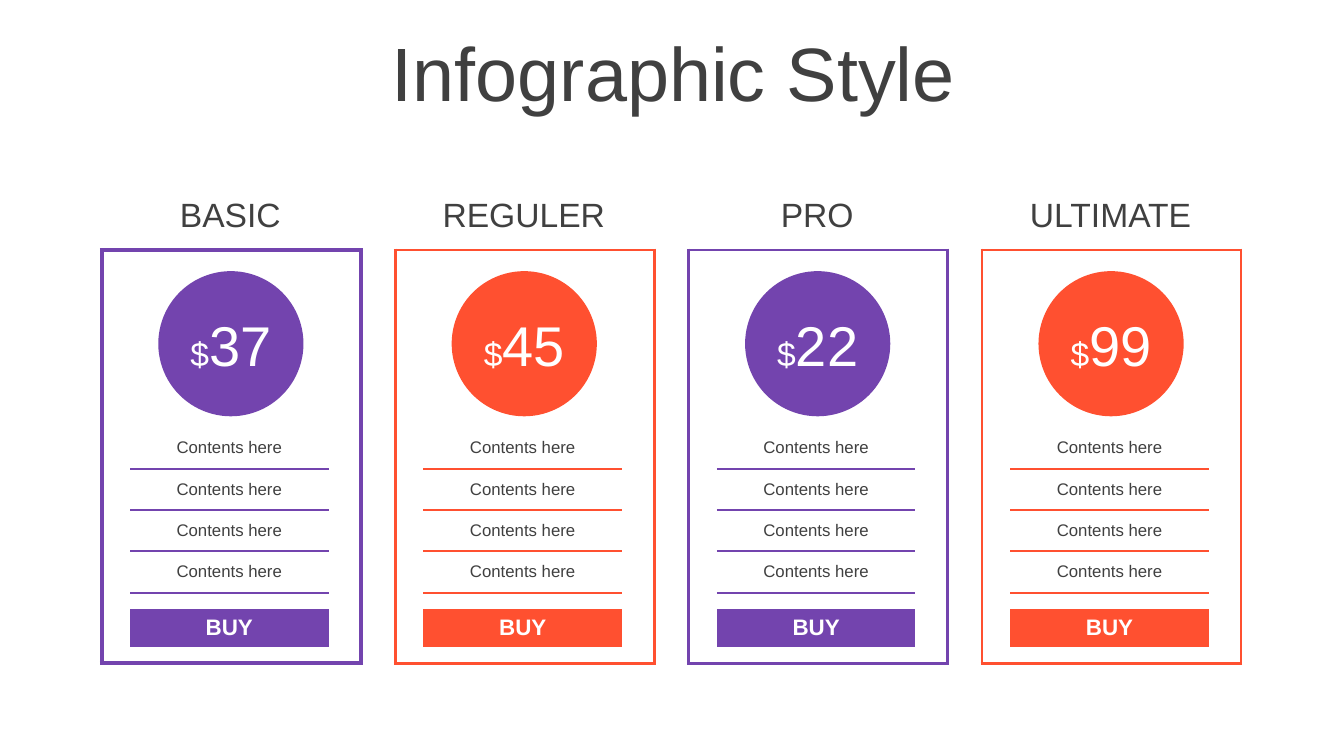
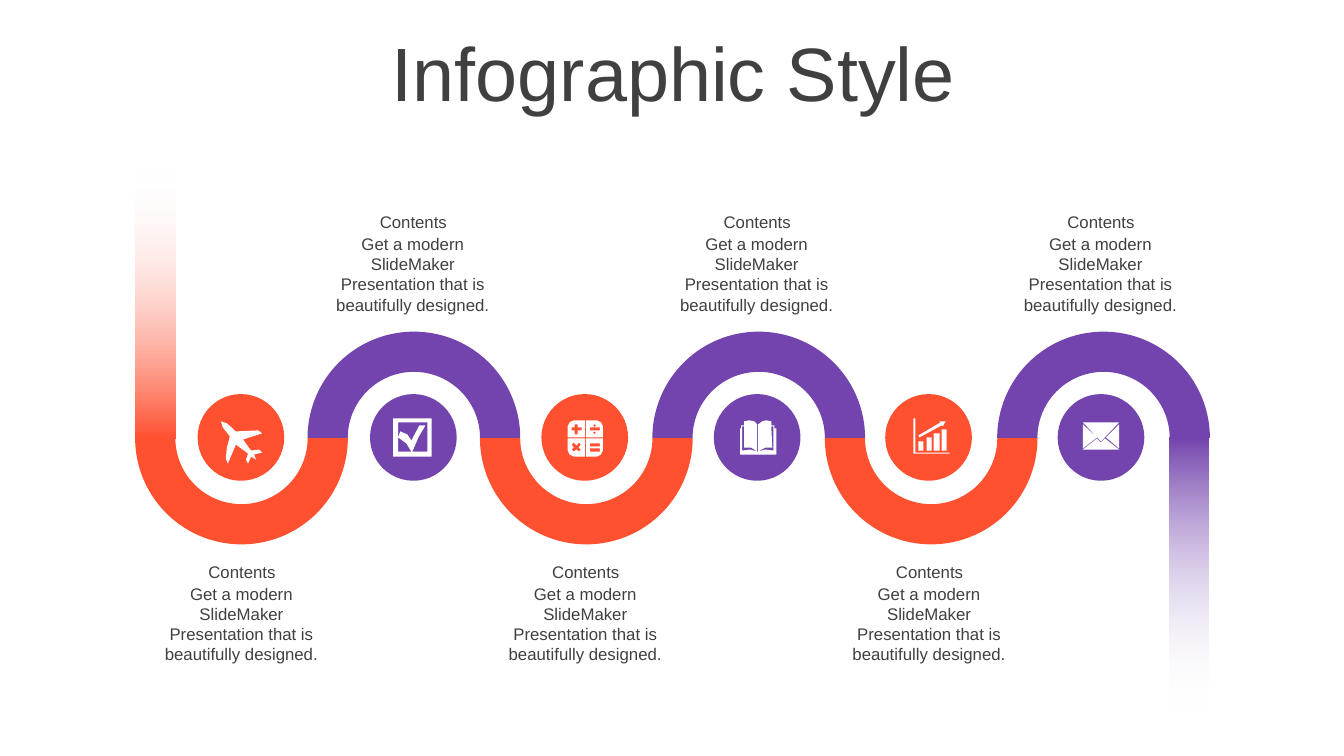
import lxml.etree
import pptx
import pptx.dml.color
import pptx.enum.dml
import pptx.enum.shapes
import pptx.enum.text
import pptx.oxml.ns
import pptx.util

PX = 9144  # EMU per px, 100 px to the inch
COLORS = {"orange": "FF5030", "purple": "7344AE", "text": "404040", "white": "FFFFFF"}
FONT = "Arial"
PLANS = [("BASIC", "37", "purple", 3), ("REGULER", "45", "orange", 2.25),
         ("PRO", "22", "purple", 2.25), ("ULTIMATE", "99", "orange", 2.25)]
BODY_TEXT = "Get a modern SlideMaker Presentation that is beautifully designed."

SHAPE = pptx.enum.shapes.MSO_SHAPE
ANCHOR = pptx.enum.text.MSO_ANCHOR
qn = pptx.oxml.ns.qn


def rect(left, top, right, bottom):
    return [(left, top), (right, top), (right, bottom), (left, bottom)]


# Icon contours in px from the corner of the disc; inner contours are holes
PLANE = [[(64, 58), (56, 60), (58, 65), (53, 62), (50, 69), (48, 65), (50, 59), (38, 50),
          (30, 69), (28, 64), (29, 53), (32, 42), (25, 33), (23, 27), (29, 29), (38, 37),
          (60, 36), (64, 39), (45, 45), (53, 56), (61, 55)]]
CHECKBOX = [rect(23, 24, 61, 62), rect(28, 28, 57, 57),
            [(28, 43), (30, 37), (37, 40), (41, 46), (49, 31), (55, 31), (48, 43),
             (42, 57), (41, 57), (36, 49)]]
CALCULATOR = [
    [(26, 43), (26, 32), (28, 28), (32, 26), (43, 26), (43, 43)],
    [(44, 26), (55, 26), (59, 28), (61, 32), (61, 43), (44, 43)],
    [(26, 44), (43, 44), (43, 62), (32, 62), (28, 60), (26, 56)],
    [(44, 44), (61, 44), (61, 56), (59, 60), (55, 62), (44, 62)],
    [(33, 30), (33, 33), (30, 33), (30, 36), (33, 36), (33, 40), (36, 40), (36, 36),
     (40, 36), (40, 33), (36, 33), (36, 30)],
    [(32, 48), (30, 50), (32, 53), (30, 55), (32, 57), (35, 55), (37, 57), (39, 55),
     (37, 53), (39, 50), (37, 48), (35, 51)],
    [(51, 31), (53, 30), (54, 31), (53, 33)], rect(48, 33, 58, 36),
    [(51, 38), (53, 37), (54, 38), (53, 40)],
    rect(48, 49, 58, 52), rect(48, 54, 58, 57)]
BOOK = [
    [(26, 34), (27, 34), (27, 31), (30, 31), (30, 27), (35, 26), (40, 27), (43, 30),
     (44, 30), (48, 27), (52, 26), (57, 27), (57, 31), (60, 31), (60, 34), (62, 34),
     (62, 60), (26, 60)],
    [(28, 32), (30, 32), (30, 53), (37, 53), (43, 57), (36, 55), (28, 56)],
    [(59, 32), (57, 32), (58, 53), (51, 53), (44, 57), (51, 55), (59, 56)],
    rect(43, 30, 44, 57)]
GROWTH = [rect(33, 47, 38, 56), rect(41, 43, 46, 56), rect(48, 39, 54, 56),
          rect(56, 35, 61, 56),
          [(54, 27), (60, 27), (57, 32), (56, 31), (34, 43), (33, 41), (55, 28)],
          [(28, 24), (30, 24), (30, 58), (64, 58), (64, 59), (28, 59)]]
ENVELOPE = [[(47, 44), (61, 55), (25, 55), (39, 44), (43, 48)],
            [(61, 30), (61, 54), (48, 43)], [(25, 30), (39, 43), (25, 54)],
            [(25, 28), (61, 28), (43, 47)]]
ICONS = [PLANE, CHECKBOX, CALCULATOR, BOOK, GROWTH, ENVELOPE]


# Shared helpers
def rgb(name):
    return pptx.dml.color.RGBColor.from_string(COLORS[name])


def px(*lengths):
    return [round(length * PX) for length in lengths]


def spread(first, last, count):
    return [round(first + (last - first) * i / (count - 1)) for i in range(count)]


def format_para(para, size, color="text", bold=False):
    para.alignment = pptx.enum.text.PP_ALIGN.CENTER
    for span in para.runs:
        span.font.name = FONT
        span.font.size = pptx.util.Pt(size)
        span.font.bold = bold
        span.font.color.rgb = rgb(color)


def paint(shape, color):
    shape.shadow.inherit = False
    shape.fill.solid()
    shape.fill.fore_color.rgb = rgb(color)
    shape.line.fill.background()


def add_shape(page, kind, left, top, width, height, color):
    shape = page.shapes.add_shape(kind, *px(left, top, width, height))
    paint(shape, color)
    return shape


def add_label(page, left, top, width, height, text, size):
    box = page.shapes.add_textbox(*px(left, top, width, height))
    box.text_frame.word_wrap = True
    box.text_frame.text = text
    format_para(box.text_frame.paragraphs[0], size)
    return box


def add_page(deck):
    page = deck.slides.add_slide(deck.slide_layouts[5])
    title = page.shapes.title
    title.left, title.top, title.width, title.height = px(35, 37, 1266, 79)
    frame = title.text_frame
    frame.text = "Infographic Style"
    frame.auto_size = pptx.enum.text.MSO_AUTO_SIZE.NONE
    frame.vertical_anchor = ANCHOR.MIDDLE
    frame.paragraphs[0].line_spacing = 0.9
    format_para(frame.paragraphs[0], 54)
    return page


# Pricing cards
def set_borders(cell, borders, color):
    """borders maps each of L, R, T, B to a width in points, or 0 for none."""
    properties = cell._tc.get_or_add_tcPr()
    for position, side in enumerate("LRTB"):
        line = lxml.etree.Element(qn("a:ln" + side))
        if borders[side]:
            line.set("w", str(pptx.util.Pt(borders[side])))
            fill = lxml.etree.SubElement(line, qn("a:solidFill"))
            lxml.etree.SubElement(fill, qn("a:srgbClr"), val=COLORS[color])
        else:
            lxml.etree.SubElement(line, qn("a:noFill"))
        properties.insert(position, line)


def fill_cell(cell, text, size, color):
    cell.vertical_anchor = ANCHOR.MIDDLE
    cell.text_frame.text = text
    format_para(cell.text_frame.paragraphs[0], size, color, bold=text == "BUY")


def add_price_table(page, left, top, color, frame_width):
    widths = [28, 197, 32]
    heights = [176, 41, 41, 41, 41, 16, 38, 16]
    last_row = len(heights) - 1
    holder = page.shapes.add_table(len(heights), len(widths),
                                   *px(left, top, sum(widths), sum(heights)))
    table = holder.table
    table.first_row = table.horz_banding = False
    for column, width in zip(table.columns, widths):
        column.width = width * PX
    for row, height in zip(table.rows, heights):
        row.height = height * PX

    for r in range(len(heights)):
        for c in range(len(widths)):
            cell = table.cell(r, c)
            cell.fill.background()
            rule = 1.5 if c == 1 else 0
            if c == 1 and 1 <= r <= 4:
                fill_cell(cell, "Contents here", 12, "text")
            elif c == 1 and r == 6:
                fill_cell(cell, "BUY", 16, "white")
                cell.fill.solid()
                cell.fill.fore_color.rgb = rgb(color)
            else:  # small type keeps the empty rows low
                cell.margin_top = cell.margin_bottom = 0
                para = cell.text_frame.paragraphs[0]
                lxml.etree.SubElement(para._p, qn("a:endParaRPr"), sz="600")
            set_borders(cell, {
                "L": frame_width if c == 0 else 0,
                "R": frame_width if c == 2 or r == 0 else 0,
                "T": frame_width if r == 0 else rule if 2 <= r <= 5 else 0,
                "B": frame_width if r == last_row else rule if 1 <= r <= 4 else 0,
            }, color)
    table.cell(0, 0).merge(table.cell(0, 2))
    for c in (0, 2):
        table.cell(2, c).merge(table.cell(4, c))


def add_card(page, left, top, name, price, color, frame_width):
    heading = add_label(page, left + 21, top - 61, 213, 50, name, 24)
    heading.text_frame.margin_left = heading.text_frame.margin_right = 0
    add_price_table(page, left, top, color, frame_width)
    disc = add_shape(page, SHAPE.OVAL, left + 56, top + 21, 144, 144, color)
    frame = disc.text_frame
    frame.word_wrap = False
    frame.vertical_anchor = ANCHOR.MIDDLE
    para = frame.paragraphs[0]
    for text in ("$", price):
        para.add_run().text = text
    format_para(para, 40, "white")
    para.runs[0].font.size = pptx.util.Pt(24)


def build_pricing(deck):
    page = add_page(deck)
    for i, plan in enumerate(PLANS):
        add_card(page, 101 + 291 * i, 248, *plan)


# Winding road
def add_fading_bar(page, left, top, width, height, color, angle):
    bar = add_shape(page, SHAPE.RECTANGLE, left, top, width, height, color)
    bar.fill.gradient()
    bar.fill.gradient_angle = angle
    for stop, name in zip(bar.fill.gradient_stops, (color, "white")):
        stop.color.rgb = rgb(name)
    clear_end = list(bar._element.iter(qn("a:srgbClr")))[-1]
    lxml.etree.SubElement(clear_end, qn("a:alpha"), val="0")


def add_icon(page, left, top, contours):
    builder = page.shapes.build_freeform(*contours[0][0], scale=PX)
    for contour in contours:
        if contour is not contours[0]:
            builder.move_to(*contour[0])
        builder.add_line_segments(contour[1:], close=True)
    paint(builder.convert_to_shape(*px(left, top)), "white")


def add_road(page, left, top):
    size, pitch = 211, 171
    for i in range(len(ICONS)):
        color = "purple" if i % 2 else "orange"
        arc = add_shape(page, SHAPE.BLOCK_ARC, left + pitch * i, top, size, size, color)
        for position, value in enumerate((108, 0, 0.189)):
            arc.adjustments[position] = value
        arc.rotation = 0 if i % 2 else 180
    add_fading_bar(page, left, top - 163, 40, 269, "orange", 90)
    add_fading_bar(page, left + 1026, top + 105, 39, 269, "purple", 270)


def add_note(page, left, top):
    add_label(page, left, top + 22, 187, 91, BODY_TEXT, 12)
    add_label(page, left, top, 188, 30, "Contents", 12)


def build_road(deck):
    page = add_page(deck)
    add_road(page, 134, 329)
    discs = spread(196, 1049, len(ICONS))
    notes = spread(146, 998, len(ICONS))
    for i, icon in enumerate(ICONS):
        add_shape(page, SHAPE.OVAL, discs[i], 391, 86, 86, "purple" if i % 2 else "orange")
        add_icon(page, discs[i], 391, icon)
        add_note(page, notes[i], 205 if i % 2 else 552)


def main():
    deck = pptx.Presentation()
    deck.slide_width, deck.slide_height = px(1333, 750)
    build_pricing(deck)
    build_road(deck)
    deck.save("out.pptx")


if __name__ == "__main__":
    main()
